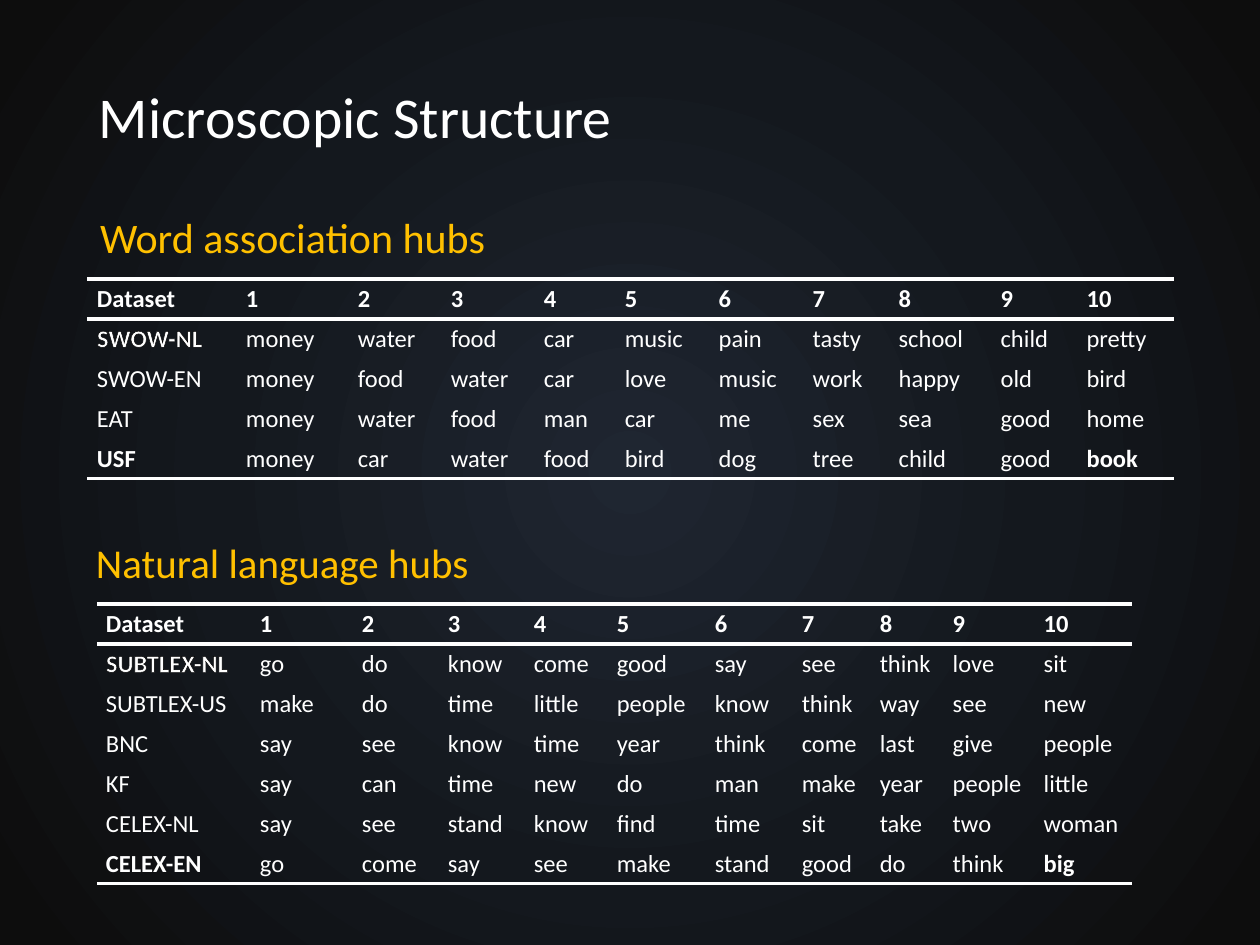
from dataclasses import dataclass

from lxml import etree
from pptx import Presentation
from pptx.dml.color import RGBColor
from pptx.enum.text import MSO_ANCHOR, MSO_AUTO_SIZE, PP_ALIGN
from pptx.oxml import parse_xml
from pptx.oxml.ns import qn
from pptx.util import Emu, Pt

LEFT = PP_ALIGN.LEFT
MIDDLE = MSO_ANCHOR.MIDDLE
FIXED = MSO_AUTO_SIZE.NONE
SCALE = 914400 / 126
FONT = "Calibri"
WHITE, GOLD, BLACK = "FFFFFF", "FFC000", "000000"
PLAIN = "{2D5ABB26-0587-4C30-8999-92F81FD0307C}"
ROW = 40
STOPS = ((0, "1F2631"), (53, "14181E"), (97, "0D0D0D"))


@dataclass
class Grid:
    left: int
    top: int
    inset: int
    widths: list[int]
    words: list[str]


@dataclass
class Label:
    text: str
    left: int
    top: int
    height: int
    inset: tuple[int, int]
    size: float
    color: str


HUBS = Grid(87, 279, 10, [149, 112, 93, 93, 81, 94, 94, 86, 102, 86, 97], [
    "Dataset 1 2 3 4 5 6 7 8 9 10",
    "SWOW-NL money water food car music pain tasty school child pretty",
    "SWOW-EN money food water car love music work happy old bird",
    "EAT money water food man car me sex sea good home",
    "USF money car water food bird dog tree child good book",
])
SPEECH = Grid(97, 604, 9, [154, 102, 86, 86, 83, 98, 87, 78, 73, 91, 97], [
    "Dataset 1 2 3 4 5 6 7 8 9 10",
    "SUBTLEX-NL go do know come good say see think love sit",
    "SUBTLEX-US make do time little people know think way see new",
    "BNC say see know time year think come last give people",
    "KF say can time new do man make year people little",
    "CELEX-NL say see stand know find time sit take two woman",
    "CELEX-EN go come say see make stand good do think big",
])
FIRST = Label("Word association hubs", 87, 174, 131, (13, 6), 24, GOLD)
OTHERS = [
    Label("Natural language hubs", 87, 532, 67, (9, 5), 23.4, GOLD),
    Label("Microscopic Structure", 86, 54, 131, (13, 6), 33, WHITE),
]
WIDTH = 1086


def px(count: int) -> Emu:
    return Emu(round(count * SCALE))


def tint(code: str) -> RGBColor:
    return RGBColor.from_string(code)


def add_line(parent, tag: str, color: str, points: float) -> None:
    line = etree.Element(qn(tag), w=str(Pt(points)))
    fill = etree.SubElement(line, qn("a:solidFill"))
    etree.SubElement(fill, qn("a:srgbClr"), val=color)
    parent.append(line)


def write(frame, text: str, *, size: float, color: str = WHITE,
          bold: bool = False, edge: bool = False, space: float = 1.0) -> None:
    para = frame.paragraphs[0]
    para.alignment = LEFT
    para.line_spacing = space
    run = para.add_run()
    run.text = text
    if edge:
        add_line(run.font._element, "a:ln", BLACK, 0.75)
    run.font.name = FONT
    run.font.size = Pt(size)
    run.font.bold = bold
    run.font.color.rgb = tint(color)


def paint(slide) -> None:
    stops = "".join(f'<a:gs pos="{at * 1000}"><a:srgbClr val="{code}"/></a:gs>'
                    for at, code in STOPS)
    slide._element.cSld.insert(0, parse_xml(
        '<p:bg xmlns:p="http://schemas.openxmlformats.org/presentationml/2006/main"'
        ' xmlns:a="http://schemas.openxmlformats.org/drawingml/2006/main">'
        f'<p:bgPr><a:gradFill rotWithShape="1"><a:gsLst>{stops}</a:gsLst>'
        '<a:path path="circle"><a:fillToRect l="50000" t="50000" r="50000"'
        ' b="50000"/></a:path></a:gradFill><a:effectLst/></p:bgPr></p:bg>'))


def set_label(shape, label: Label) -> None:
    shape.left, shape.top = px(label.left), px(label.top)
    shape.width, shape.height = px(WIDTH), px(label.height)
    frame = shape.text_frame
    frame.word_wrap = True
    frame.auto_size = FIXED
    frame.vertical_anchor = MIDDLE
    frame.margin_left = frame.margin_right = px(label.inset[0])
    frame.margin_top = frame.margin_bottom = px(label.inset[1])
    write(frame, label.text, size=label.size, color=label.color, space=0.9)


def add_grid(slide, grid: Grid) -> None:
    rows = [line.split() for line in grid.words]
    last, end = len(rows) - 1, len(grid.widths) - 1
    table = slide.shapes.add_table(
        len(rows), len(grid.widths), px(grid.left), px(grid.top),
        px(sum(grid.widths)), px(ROW * len(rows))).table
    table.first_row = table.horz_banding = False
    table._tbl.tblPr.find(qn("a:tableStyleId")).text = PLAIN
    for col, width in zip(table.columns, grid.widths):
        col.width = px(width)
    for r, row in enumerate(rows):
        table.rows[r].height = px(ROW)
        for c, word in enumerate(row):
            cell = table.cell(r, c)
            cell.margin_left = cell.margin_right = px(grid.inset)
            cell.margin_top = cell.margin_bottom = px(5)
            edge = r == 1 and c == 0
            bold = r == 0 or edge or (r == last and c in (0, end))
            write(cell.text_frame, word, size=14, bold=bold, edge=edge)
            props = cell._tc.get_or_add_tcPr()
            if r == 0:
                add_line(props, "a:lnT", WHITE, 2)
            if r in (0, last):
                add_line(props, "a:lnB", WHITE, 2)
            cell.fill.background()


def main() -> None:
    deck = Presentation()
    deck.slide_width, deck.slide_height = px(1260), px(945)
    slide = deck.slides.add_slide(deck.slide_layouts[5])
    paint(slide)
    set_label(slide.shapes.title, FIRST)
    for grid in (HUBS, SPEECH):
        add_grid(slide, grid)
    for label in OTHERS:
        set_label(slide.shapes.add_textbox(0, 0, 0, 0), label)
    deck.save("out.pptx")


if __name__ == "__main__":
    main()
